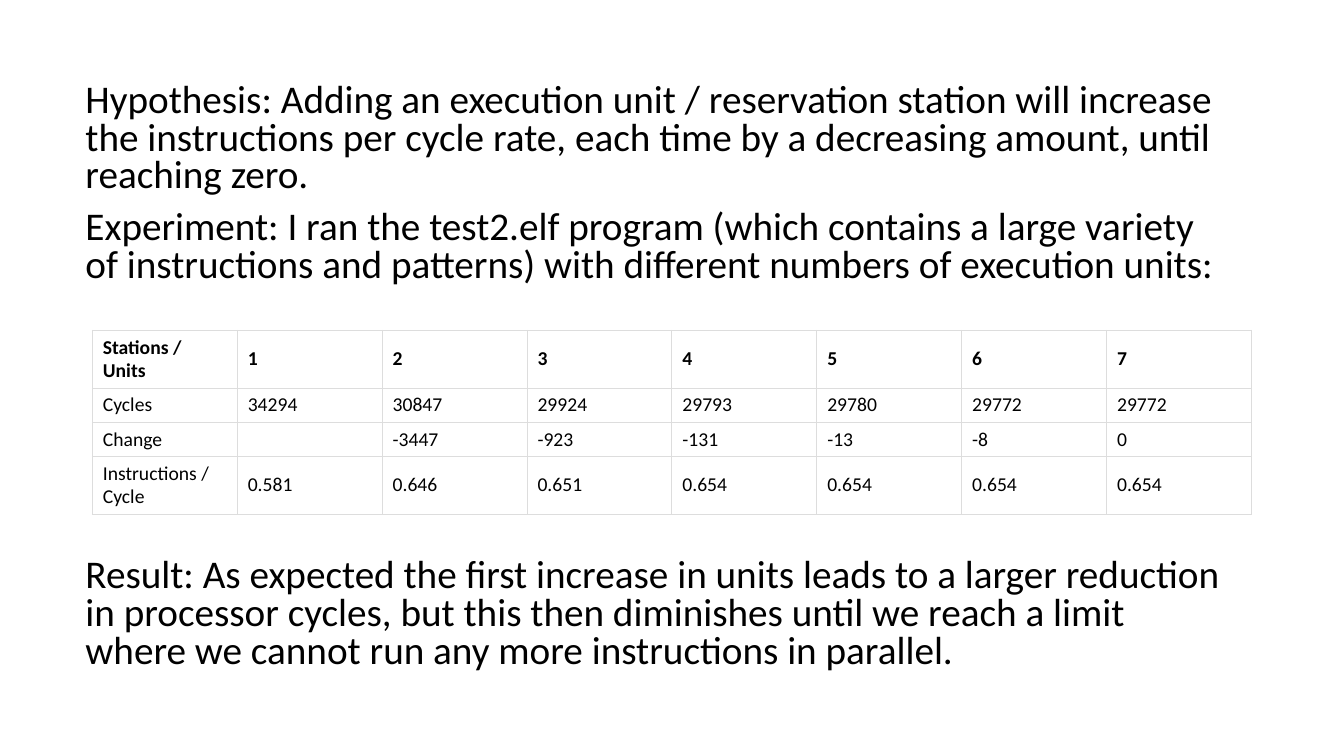
from dataclasses import dataclass

from lxml.etree import SubElement
from pptx import Presentation
from pptx.dml.color import RGBColor
from pptx.enum.text import MSO_ANCHOR
from pptx.oxml.ns import qn
from pptx.util import Pt


@dataclass(frozen=True)
class Theme:
    """Colours, font and type sizes of the slide."""
    font: str = "Calibri"
    text: str = "000000"
    cell: str = "FFFFFF"
    border: str = "DDDDDD"
    border_width: float = 0.75
    body_size: int = 28
    table_size: int = 14


def write_text(paragraph, text, *, font, size, color, bold=False,
               line_spacing=None, space_before=0):
    """Put formatted text in a paragraph; an empty one keeps its type size."""
    paragraph.line_spacing = line_spacing
    paragraph.space_before = Pt(space_before)
    if not text:
        SubElement(paragraph._p, qn("a:endParaRPr"), sz=str(size * 100))
        return
    run = paragraph.add_run()
    run.text = text
    run.font.name = font
    run.font.size = Pt(size)
    run.font.bold = bold
    run.font.color.rgb = RGBColor.from_string(color)


class SlideBuilder:
    """Holds the theme and the current slide."""

    def __init__(self, slide, theme):
        """Keep the slide to draw on and its style."""
        self.slide = slide
        self.theme = theme

    def add_body(self, left, top, width, height, paragraphs):
        """Add body text from (text, space before) pairs."""
        box = self.slide.shapes.add_textbox(Pt(left), Pt(top), Pt(width), Pt(height))
        frame = box.text_frame
        frame.word_wrap = True
        for index, (text, space_before) in enumerate(paragraphs):
            paragraph = frame.add_paragraph() if index else frame.paragraphs[0]
            write_text(paragraph, text, font=self.theme.font,
                       size=self.theme.body_size, color=self.theme.text,
                       line_spacing=0.8, space_before=space_before)

    def add_table(self, left, top, width, row_heights, rows):
        """Add a plain bordered table with equal columns and a bold first row."""
        column_count = len(rows[0])
        table = self.slide.shapes.add_table(
            len(rows), column_count, Pt(left), Pt(top), Pt(width),
            Pt(sum(row_heights))).table
        table.first_row = table.horz_banding = False
        for column in table.columns:
            column.width = Pt(width / column_count)
        for row_index, (height, values) in enumerate(zip(row_heights, rows)):
            table.rows[row_index].height = Pt(height)
            for column_index, value in enumerate(values):
                self.format_cell(table.cell(row_index, column_index), value,
                                 bold=row_index == 0)

    def format_cell(self, cell, text, bold):
        """Fill, border and label one table cell."""
        cell.vertical_anchor = MSO_ANCHOR.MIDDLE
        cell.margin_left = cell.margin_right = Pt(7.5)
        cell.margin_top = cell.margin_bottom = Pt(3.6)
        properties = cell._tc.get_or_add_tcPr()
        for side in ("lnL", "lnR", "lnT", "lnB"):
            line = SubElement(properties, qn(f"a:{side}"),
                              w=str(Pt(self.theme.border_width)))
            fill = SubElement(line, qn("a:solidFill"))
            SubElement(fill, qn("a:srgbClr"), val=self.theme.border)
        cell.fill.solid()
        cell.fill.fore_color.rgb = RGBColor.from_string(self.theme.cell)
        write_text(cell.text_frame.paragraphs[0], text, font=self.theme.font,
                   size=self.theme.table_size, color=self.theme.text, bold=bold)


PARAGRAPH_GAP = 10
TABLE_GAP = 195  # room for the table between experiment and result

BODY = [
    ("Hypothesis: Adding an execution unit / reservation station will increase "
     "the instructions per cycle rate, each time by a decreasing amount, until "
     "reaching zero.", PARAGRAPH_GAP),
    ("Experiment: I ran the test2.elf program (which contains a large variety "
     "of instructions and patterns) with different numbers of execution units:",
     PARAGRAPH_GAP),
    ("Result: As expected the first increase in units leads to a larger reduction "
     "in processor cycles, but this then diminishes until we reach a limit "
     "where we cannot run any more instructions in parallel.", TABLE_GAP),
]

MEASUREMENTS = [
    ["Stations / Units", "1", "2", "3", "4", "5", "6", "7"],
    ["Cycles", "34294", "30847", "29924", "29793", "29780", "29772", "29772"],
    ["Change", "", "-3447", "-923", "-131", "-13", "-8", "0"],
    ["Instructions / Cycle", "0.581", "0.646", "0.651",
     "0.654", "0.654", "0.654", "0.654"],
]


def main():
    """Build the slide and save it."""
    presentation = Presentation()
    presentation.slide_width, presentation.slide_height = Pt(960), Pt(540)
    slide = presentation.slides.add_slide(presentation.slide_layouts[6])
    builder = SlideBuilder(slide, Theme())
    builder.add_body(54, 56, 828, 428, BODY)
    builder.add_table(66, 236, 828, [41.2, 24.4, 24.4, 41.2], MEASUREMENTS)
    presentation.save("out.pptx")


main()
